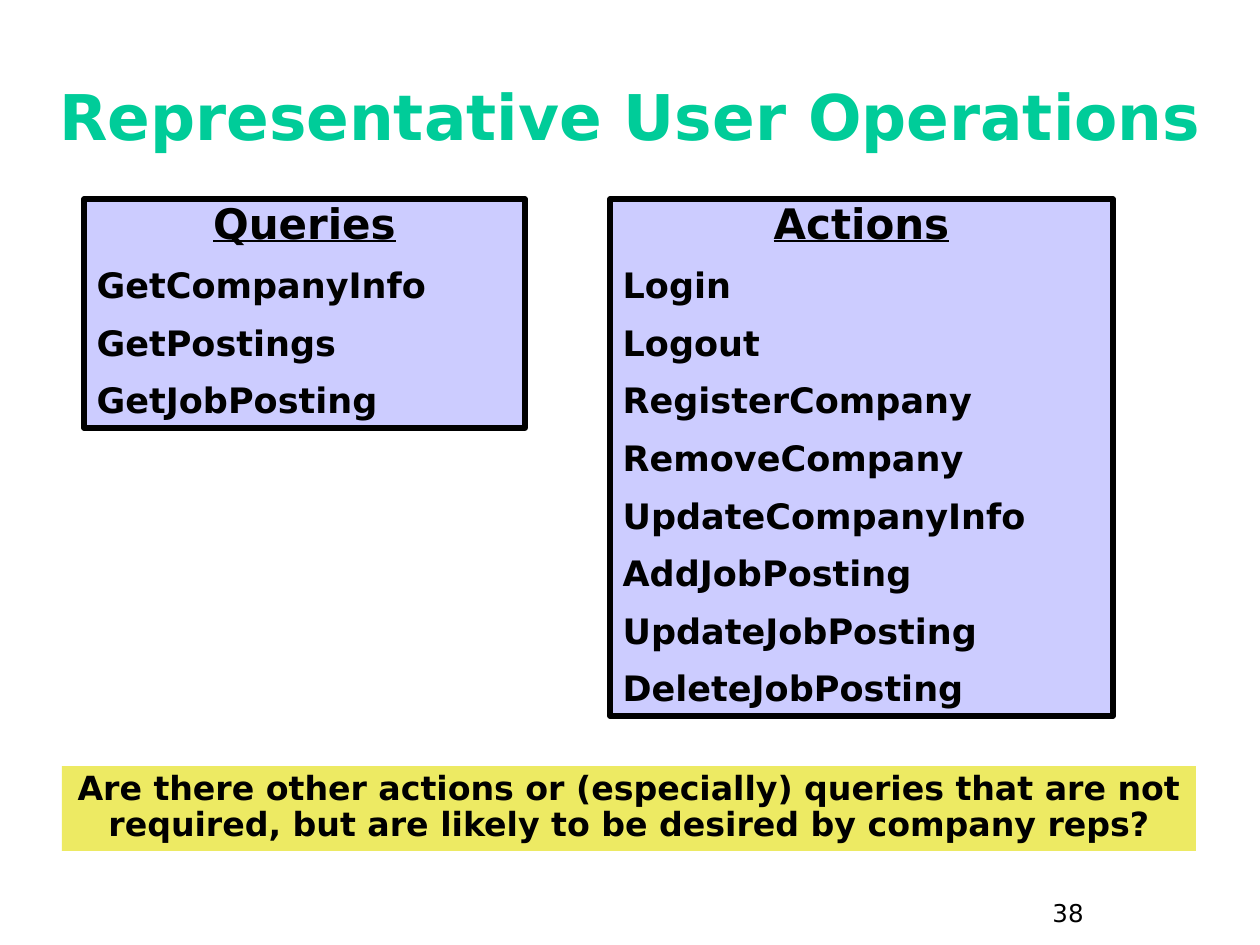
from lxml.etree import SubElement
from pptx import Presentation
from pptx.dml.color import RGBColor
from pptx.enum.shapes import MSO_SHAPE
from pptx.enum.text import MSO_ANCHOR, MSO_AUTO_SIZE, PP_ALIGN
from pptx.oxml.ns import qn
from pptx.util import Emu, Pt

PX = 914400 / 126
FONT = "DejaVu Sans"
COLORS = {
    "title": "00CC99",
    "text": "000000",
    "panel": "CCCCFF",
    "question": "EDEA63",
}
QUERIES = ["GetCompanyInfo", "GetPostings", "GetJobPosting"]
ACTIONS = [
    "Login", "Logout", "RegisterCompany", "RemoveCompany",
    "UpdateCompanyInfo", "AddJobPosting", "UpdateJobPosting", "DeleteJobPosting",
]


def px(n):
    return Emu(round(n * PX))


def rgb(name):
    return RGBColor.from_string(COLORS[name])


def write(p, text, size=20, color="text", bold=True, underline=False,
          align=PP_ALIGN.LEFT, before=0, spacing=1.0):
    pPr = p._p.get_or_add_pPr()
    pPr.set("marL", "0")
    pPr.set("indent", "0")
    SubElement(pPr, qn("a:buNone"))
    p.alignment = align
    p.space_before = Pt(before)
    p.line_spacing = spacing
    r = p.add_run()
    r.text = text
    font = r.font
    font.name = FONT
    font.size = Pt(size)
    font.bold = bold
    font.underline = underline
    font.color.rgb = rgb(color)


class SlideBuilder:
    def __init__(self, prs):
        self.s = prs.slides.add_slide(prs.slide_layouts[3])

    def place(self, sp, box, anchor=MSO_ANCHOR.TOP):
        sp.left, sp.top, sp.width, sp.height = map(px, box)
        tf = sp.text_frame
        tf.word_wrap = True
        tf.auto_size = MSO_AUTO_SIZE.NONE
        tf.vertical_anchor = anchor
        return tf

    def fill(self, sp, color):
        sp.fill.solid()
        sp.fill.fore_color.rgb = rgb(color)

    def title(self, text, box):
        tf = self.place(self.s.shapes.title, box, MSO_ANCHOR.MIDDLE)
        write(tf.paragraphs[0], text, size=36, color="title", align=PP_ALIGN.CENTER)

    def panel(self, idx, heading, items, box):
        sp = self.s.placeholders[idx]
        tf = self.place(sp, box)
        self.fill(sp, "panel")
        sp.line.color.rgb = rgb("text")
        sp.line.width = Pt(3)
        write(tf.paragraphs[0], heading, size=24, underline=True,
              align=PP_ALIGN.CENTER, spacing=0.85)
        for item in items:
            write(tf.add_paragraph(), item, before=12.5, spacing=0.85)

    def question(self, text, box):
        sp = self.s.shapes.add_shape(MSO_SHAPE.RECTANGLE, *map(px, box))
        sp.shadow.inherit = False
        self.fill(sp, "question")
        sp.line.fill.background()
        tf = self.place(sp, box)
        write(tf.paragraphs[0], text, size=19, align=PP_ALIGN.CENTER, spacing=0.9)

    def page_number(self, text, box):
        sp = self.s.shapes.add_textbox(*map(px, box))
        write(self.place(sp, box).paragraphs[0], text, size=14, bold=False)


def main():
    prs = Presentation()
    prs.slide_width, prs.slide_height = px(1260), px(945)
    slide = SlideBuilder(prs)
    slide.title("Representative User Operations", (42, 63, 1176, 105))
    slide.panel(1, "Queries", QUERIES, (84, 199, 441, 229))
    slide.panel(2, "Actions", ACTIONS, (610, 199, 503, 517))
    slide.question(
        "Are there other actions or (especially) queries that are not required, "
        "but are likely to be desired by company reps?",
        (62, 766, 1134, 85),
    )
    slide.page_number("38", (1040, 892, 94, 47))
    prs.save("out.pptx")


if __name__ == "__main__":
    main()
